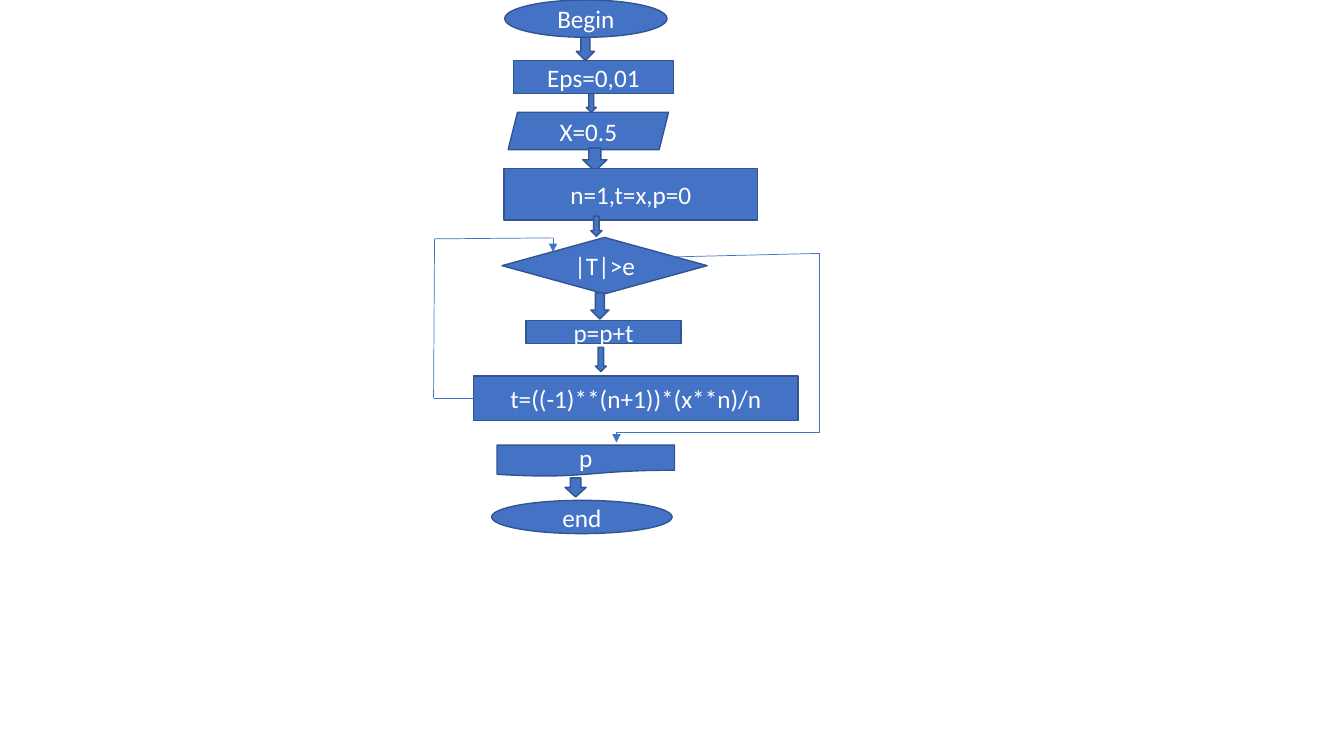
import itertools
import pptx
import pptx.util
import pptx.dml.color
import pptx.enum.shapes
import pptx.enum.text
import pptx.oxml.ns
import lxml.etree

SHAPES = pptx.enum.shapes.MSO_SHAPE
COLUMNS, ROWS = 1333, 750

FLOW = [
    ("begin", SHAPES.OVAL, (500.6, 0, 161, 37), "Begin"),
    ("begin to eps", SHAPES.DOWN_ARROW, (571.6, 37, 18, 23), ""),
    ("eps", SHAPES.RECTANGLE, (509, 60, 159, 33), "Eps=0,01"),
    ("eps to input", SHAPES.DOWN_ARROW, (581.5, 93, 10, 18.6), ""),
    ("input", SHAPES.PARALLELOGRAM, (504, 111.4, 159, 37), "X=0.5"),
    ("input to start values", SHAPES.DOWN_ARROW, (578, 147, 24, 23), ""),
    ("start values", SHAPES.RECTANGLE, (500, 167, 251.4, 51.4), "n=1,t=x,p=0"),
    ("start values to test", SHAPES.DOWN_ARROW, (586, 214.4, 11, 20), ""),
    ("test", SHAPES.DIAMOND, (498, 235.6, 203.4, 56), "|T|>e"),
    ("test to sum", SHAPES.DOWN_ARROW, (586, 290.6, 18, 26), ""),
    ("sum", SHAPES.RECTANGLE, (521.6, 318, 154, 23), "p=p+t"),
    ("sum to term", SHAPES.DOWN_ARROW, (590.4, 344.6, 11, 24), ""),
    ("term", SHAPES.RECTANGLE, (469.6, 373, 322, 44), "t=((-1)**(n+1))*(x**n)/n"),
    ("output", SHAPES.FLOWCHART_DOCUMENT, (493, 441.6, 176, 31), "p"),
    ("output to end", SHAPES.DOWN_ARROW, (560.4, 474, 21, 19), ""),
    ("end", SHAPES.OVAL, (487.6, 496.4, 179, 33), "end"),
]

ROUTES = {
    "exit": [(662, 255), (813, 251.4), (813, 429), (611.4, 429), (611.4, 439)],
    "loop": [(470, 395), (430, 395), (431, 237), (548.6, 236), (548.6, 250)],
}
ROUTE_STARTS = {"loop": ("term", 1)}

THEME = {
    "fill": pptx.dml.color.RGBColor.from_string("4472C4"),
    "outline": pptx.dml.color.RGBColor.from_string("325491"),
    "text": pptx.dml.color.RGBColor.from_string("FFFFFF"),
    "font": {"name": "Calibri", "size": pptx.util.Pt(18)},
    "outline_width": pptx.util.Pt(1),
    "route_width": pptx.util.Pt(0.5),
}
FRAME = {"word_wrap": True, "vertical_anchor": pptx.enum.text.MSO_ANCHOR.MIDDLE}


def apply(target, values):
    for name, value in values.items():
        setattr(target, name, value)


def across(columns):
    return round(deck.slide_width * columns / COLUMNS)


def down(rows):
    return round(deck.slide_height * rows / ROWS)


def add_step(page, kind, place, text):
    left, top, width, height = place
    box = page.shapes.add_shape(kind, across(left), down(top), across(width), down(height))
    box.shadow.inherit = False
    box.fill.solid()
    box.fill.fore_color.rgb = THEME["fill"]
    box.line.color.rgb = THEME["outline"]
    box.line.width = THEME["outline_width"]
    if text:
        apply(box.text_frame, FRAME)
        para = box.text_frame.paragraphs[0]
        para.alignment = pptx.enum.text.PP_ALIGN.CENTER
        span = para.add_run()
        span.text = text
        apply(span.font, THEME["font"])
        span.font.color.rgb = THEME["text"]
    return box


def add_segment(page, start, finish):
    segment = page.shapes.add_connector(
        pptx.enum.shapes.MSO_CONNECTOR.STRAIGHT,
        across(start[0]), down(start[1]), across(finish[0]), down(finish[1]))
    segment.line.color.rgb = THEME["fill"]
    segment.line.width = THEME["route_width"]
    lxml.etree.SubElement(segment._element.spPr, pptx.oxml.ns.qn("a:effectLst"))
    return segment


def add_route(page, points):
    segments = [add_segment(page, *ends) for ends in itertools.pairwise(points)]
    outline = segments[-1].line._get_or_add_ln()
    lxml.etree.SubElement(outline, pptx.oxml.ns.qn("a:tailEnd"), type="triangle")
    return segments


deck = pptx.Presentation()
deck.slide_width = pptx.util.Inches(13.33)
deck.slide_height = pptx.util.Inches(7.5)
page = deck.slides.add_slide(deck.slide_layouts[6])

steps = {name: add_step(page, kind, place, text) for name, kind, place, text in FLOW}
for name, points in ROUTES.items():
    segments = add_route(page, points)
    if name in ROUTE_STARTS:
        step, side = ROUTE_STARTS[name]
        segments[0].begin_connect(steps[step], side)

deck.save("out.pptx")
